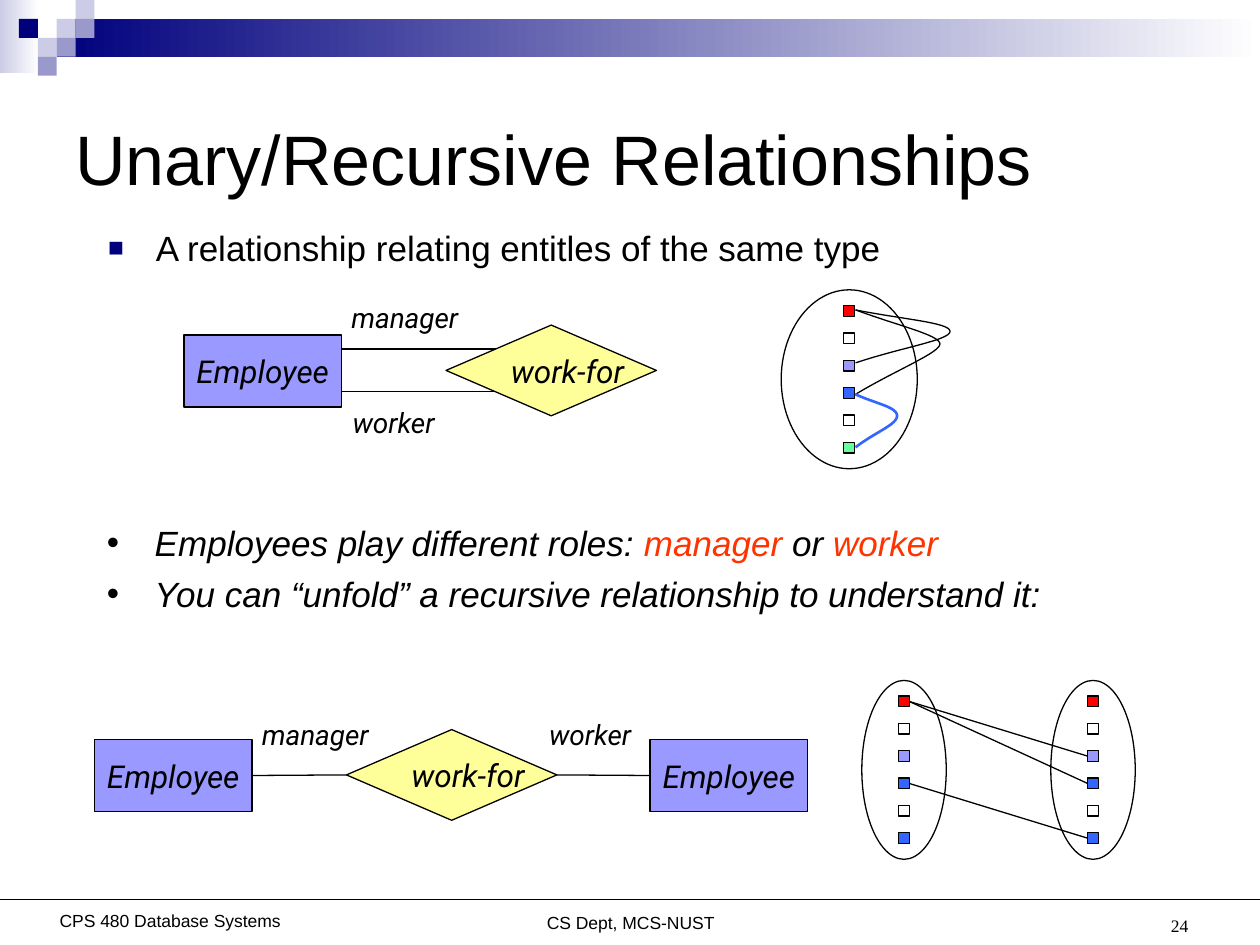
"""Builds the slide on unary and recursive relationships."""
import dataclasses

import lxml.etree
import pptx
import pptx.dml.color
import pptx.enum.dml
import pptx.enum.shapes
import pptx.enum.text
import pptx.oxml.ns
import pptx.util

SHAPE = pptx.enum.shapes.MSO_SHAPE
ALIGN = pptx.enum.text.PP_ALIGN
ANCHOR = pptx.enum.text.MSO_ANCHOR
TOP, LEFT, BOTTOM, RIGHT = range(4)


@dataclasses.dataclass(frozen=True)
class Theme:
    """Colours, fonts and type sizes of the slide."""
    ink: str = "000000"
    paper: str = "FFFFFF"
    navy: str = "00007D"
    mist: str = "CCCCE6"
    slate: str = "9999CC"
    entity: str = "9999FF"
    relation: str = "FFFF99"
    accent: str = "FF3300"
    red: str = "FF0000"
    blue: str = "3366FF"
    green: str = "66FF99"
    sans: str = "Arial"
    diagram: str = "Roboto"
    serif: str = "Times New Roman"
    title: int = 40
    body: int = 20
    node: int = 18
    label: int = 16
    footer: int = 10
    thin: float = 0.75
    thick: float = 1.5


class Canvas:
    """Draws themed elements on a slide divided into 100 columns and 75 rows."""

    def __init__(self, presentation, theme):
        self.theme = theme
        self.slide = presentation.slides.add_slide(presentation.slide_layouts[6])
        self.shapes = self.slide.shapes
        self.column = presentation.slide_width / 100
        self.row = presentation.slide_height / 75

    def place(self, column, row):
        """Turns columns and rows into slide lengths."""
        return round(column * self.column), round(row * self.row)

    def color(self, value):
        """Reads a theme colour."""
        return pptx.dml.color.RGBColor.from_string(value)

    def outline(self, shape, color=None, width=None):
        """Gives a shape or connector its line."""
        shape.line.color.rgb = self.color(color or self.theme.ink)
        shape.line.width = pptx.util.Pt(width or self.theme.thin)

    def shape(self, kind, box, fill=None, outlined=True):
        """Adds a preset shape."""
        shape = self.shapes.add_shape(kind, *self.place(*box[:2]), *self.place(*box[2:]))
        shape.shadow.inherit = False
        if fill:
            shape.fill.solid()
            shape.fill.fore_color.rgb = self.color(fill)
        else:
            shape.fill.background()
        if outlined:
            self.outline(shape)
        else:
            shape.line.fill.background()
        return shape

    def fade(self, box, color):
        """Adds a band that fades to the paper colour on its right."""
        band = self.shape(SHAPE.RECTANGLE, box, color, outlined=False)
        band.fill.gradient()
        band.fill.gradient_angle = 0
        for stop, value in zip(band.fill.gradient_stops, (color, self.theme.paper)):
            stop.color.rgb = self.color(value)

    def style(self, paragraph, size, font, italic=False, align=ALIGN.LEFT):
        """Formats a paragraph and its runs."""
        paragraph.alignment = align
        for run in paragraph.runs:
            run.font.size = pptx.util.Pt(size)
            run.font.name = font
            run.font.italic = italic
            run.font.color.rgb = self.color(self.theme.ink)

    def text(self, box, text, size, font, italic=False, align=ALIGN.LEFT,
             anchor=ANCHOR.TOP, wrap=True, drop=0.5):
        """Adds a text box; drop is its top inset in rows."""
        shape = self.shapes.add_textbox(*self.place(*box[:2]), *self.place(*box[2:]))
        frame = shape.text_frame
        frame.text = text
        frame.word_wrap = wrap
        frame.vertical_anchor = anchor
        frame.margin_top = self.place(0, drop)[1]
        self.style(frame.paragraphs[0], size, font, italic, align)
        return shape

    def label(self, box, text):
        """Adds a role name."""
        shape = self.text(box, text, self.theme.label, self.theme.diagram, True,
                          anchor=ANCHOR.MIDDLE, wrap=False)
        shape.text_frame.auto_size = pptx.enum.text.MSO_AUTO_SIZE.SHAPE_TO_FIT_TEXT

    def node(self, kind, box, fill, text):
        """Adds an entity or relationship with its name."""
        shape = self.shape(kind, box, fill)
        frame = shape.text_frame
        frame.text = text
        frame.word_wrap = False
        frame.vertical_anchor = ANCHOR.MIDDLE
        self.style(frame.paragraphs[0], self.theme.node, self.theme.diagram, True)
        return shape

    def entity(self, column, row):
        """Adds an employee entity."""
        return self.node(SHAPE.RECTANGLE, (column, row, 12.5, 5.7), self.theme.entity, "Employee")

    def relation(self, column, row):
        """Adds a work-for relationship."""
        return self.node(SHAPE.DIAMOND, (column, row, 16.7, 7.2), self.theme.relation, "work-for")

    def bullets(self, box, items, mark, color, percent=100, italic=False):
        """Adds a bulleted list whose items are lists of text and colour."""
        frame = self.text(box, "", self.theme.body, self.theme.sans).text_frame
        for index, pieces in enumerate(items):
            paragraph = frame.add_paragraph() if index else frame.paragraphs[0]
            properties = paragraph._p.get_or_add_pPr()
            indent = self.place(3.8, 0)[0]
            properties.set("marL", str(indent))
            properties.set("indent", str(-indent))
            for tag, attributes in (("buClr", {}), ("buSzPct", {"val": str(percent * 1000)}),
                                    ("buFont", {"typeface": self.theme.sans}),
                                    ("buChar", {"char": mark})):
                element = lxml.etree.SubElement(properties, pptx.oxml.ns.qn("a:" + tag), attributes)
                if tag == "buClr":
                    lxml.etree.SubElement(element, pptx.oxml.ns.qn("a:srgbClr"), val=color)
            if index:
                paragraph.space_before = pptx.util.Pt(5)
            for text, _ in pieces:
                paragraph.add_run().text = text
            self.style(paragraph, self.theme.body, self.theme.sans, italic)
            for run, (_, shade) in zip(paragraph.runs, pieces):
                run.font.color.rgb = self.color(shade)

    def line(self, start=(0, 0), end=(0, 0), joins=None):
        """Adds a straight line, free or joined to two shape sides."""
        connector = self.shapes.add_connector(
            pptx.enum.shapes.MSO_CONNECTOR.STRAIGHT, *self.place(*start), *self.place(*end))
        if joins:
            connector.begin_connect(*joins[0])
            connector.end_connect(*joins[1])
        self.outline(connector)
        lxml.etree.SubElement(connector._element.spPr, pptx.oxml.ns.qn("a:effectLst"))

    def arc(self, column, top, bottom, bulge, tip, color=None, width=None):
        """Adds a curve that swings right from one member to another."""
        edge, middle = column + bulge, column + bulge / 2
        halves = (((column, top), (middle, (top + tip) / 2 - 0.1), (edge, tip - 0.7), (edge, tip)),
                  ((edge, tip), (edge, tip + 0.7), (middle, (tip + bottom) / 2), (column, bottom)))
        points = []
        for half in halves:
            for step in range(1, 17):
                t = step / 16
                weights = ((1 - t) ** 3, 3 * t * (1 - t) ** 2, 3 * t * t * (1 - t), t ** 3)
                points.append(self.place(*(sum(w * p[axis] for w, p in zip(weights, half))
                                           for axis in (0, 1))))
        builder = self.shapes.build_freeform(*self.place(column, top), scale=1.0)
        builder.add_line_segments(points, close=False)
        curve = builder.convert_to_shape()
        curve.shadow.inherit = False
        curve.fill.background()
        self.outline(curve, color, width)

    def entity_set(self, column, row, width, last):
        """Adds an oval holding six members and returns the members."""
        self.shape(SHAPE.OVAL, (column, row, width, 14.2))
        theme, size = self.theme, 0.85
        fills = (theme.red, None, theme.entity, theme.blue, None, last)
        return [self.shape(SHAPE.RECTANGLE, (column + (width - size) / 2, row + 1.25 + 2.17 * index,
                                             size, size), fill)
                for index, fill in enumerate(fills)]


def main():
    """Builds and saves the slide."""
    presentation = pptx.Presentation()
    presentation.slide_width = pptx.util.Inches(10)
    presentation.slide_height = pptx.util.Inches(7.5)
    theme = Theme()
    canvas = Canvas(presentation, theme)

    canvas.fade((0, 0, 3.1, 5.8), theme.mist)
    canvas.fade((4.5, 1.5, 95.5, 3), theme.navy)
    tiles = {theme.mist: ((3, 1), (4, 0), (2, 2)), theme.slate: ((4, 1), (3, 2), (2, 3)),
             theme.navy: ((1, 1),)}
    for fill, cells in tiles.items():
        for column, row in cells:
            canvas.shape(SHAPE.RECTANGLE, (1.5 * column, 1.5 * row, 1.5, 1.5), fill, outlined=False)

    for box, text in (((29.2, 68.5, 41.7, 6), "CS Dept, MCS-NUST"),
                      ((3.5, 68.3, 20, 6), "CPS 480 Database Systems")):
        canvas.text(box, text, theme.footer, theme.sans, align=ALIGN.CENTER, drop=3.9)
    canvas.line((0, 71.4), (100, 71.4))
    canvas.text((72, 69.8, 23.3, 5), "24", theme.footer, theme.serif,
                align=ALIGN.RIGHT, anchor=ANCHOR.BOTTOM)

    canvas.text((5, 5, 90, 15), "Unary/Recursive Relationships", theme.title, theme.sans,
                anchor=ANCHOR.MIDDLE)
    canvas.bullets((7.6, 17.5, 80.6, 4.4),
                   [[("A relationship relating entitles of the same type", theme.ink)]],
                   "■", theme.navy, 75)
    canvas.bullets((7.5, 40.9, 85, 9.2),
                   [[("Employees play different roles: ", theme.ink), ("manager", theme.accent),
                     (" or ", theme.ink), ("worker", theme.accent)],
                    [("You can “unfold” a recursive relationship to understand it:", theme.ink)]],
                   "•", theme.ink, italic=True)

    for box, text in (((26.9, 23.3, 11, 3.7), "manager"), ((27, 31.7, 8.8, 3.7), "worker"),
                      ((19.8, 56.4, 11, 3.7), "manager"), ((42.6, 56.4, 8.8, 3.7), "worker")):
        canvas.label(box, text)

    canvas.entity(14.6, 26.6)
    for row in (27.7, 31.1):
        canvas.line((39.6, row), (27.1, row))
    canvas.relation(35.4, 25.8)

    manager, worker = canvas.entity(7.5, 58.7), canvas.entity(51.6, 58.7)
    relation = canvas.relation(27.5, 57.9)
    canvas.line(joins=((relation, LEFT), (manager, RIGHT)))
    canvas.line(joins=((worker, LEFT), (relation, RIGHT)))

    canvas.entity_set(62, 23, 10.8, theme.green)
    canvas.arc(67.9, 24.6, 28.8, 7.5, 26.3)
    canvas.arc(67.9, 24.6, 31.3, 6.7, 27.3)
    canvas.arc(67.9, 31.3, 35.5, 3.3, 33, theme.blue, theme.thick)

    managers, workers = (canvas.entity_set(column, 54, 6.7, theme.blue) for column in (68.4, 83.4))
    for source, target in ((0, 2), (0, 3), (3, 5)):
        canvas.line(joins=((managers[source], RIGHT), (workers[target], LEFT)))

    presentation.save("out.pptx")


if __name__ == "__main__":
    main()
